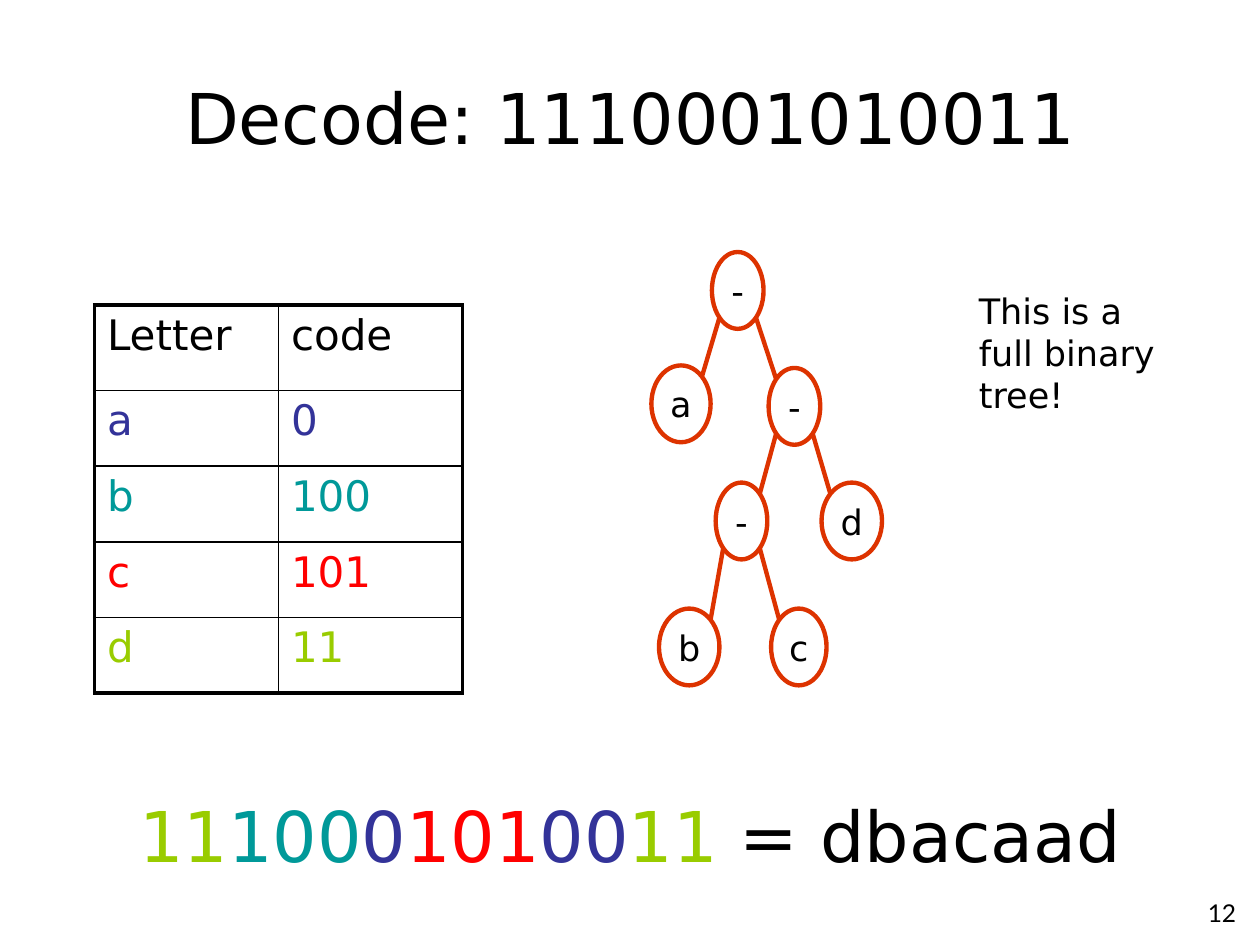
import itertools
import math

import pptx
import pptx.dml.color
import pptx.enum.shapes
import pptx.enum.text
import pptx.oxml
import pptx.oxml.ns
import pptx.util
from pptx.util import Inches, Pt

RGBColor = pptx.dml.color.RGBColor
PP_ALIGN = pptx.enum.text.PP_ALIGN
ANCHOR = pptx.enum.text.MSO_ANCHOR

BLACK = RGBColor(0x00, 0x00, 0x00)
BLUE = RGBColor(0x33, 0x33, 0x99)
TEAL = RGBColor(0x00, 0x99, 0x99)
RED = RGBColor(0xFF, 0x00, 0x00)
GREEN = RGBColor(0x99, 0xCC, 0x00)
ORANGE = RGBColor(0xDD, 0x33, 0x00)

BODY_FONT = "DejaVu Sans"
NUMBER_FONT = "Lato"

CODES = {"a": ("0", BLUE), "b": ("100", TEAL), "c": ("101", RED), "d": ("11", GREEN)}
MESSAGE = "dbacaad"
ENCODED = "".join(CODES[letter][0] for letter in MESSAGE)

# Tree nodes: label, left, top and width within the tree's box
NODE_HEIGHT = 0.61
NODES = {
    "root": ("-", 0.48, 0, 0.41),
    "a": ("a", 0, 0.9, 0.47),
    "right": ("-", 0.93, 0.92, 0.41),
    "middle": ("-", 0.51, 1.83, 0.41),
    "d": ("d", 1.35, 1.83, 0.48),
    "b": ("b", 0.06, 2.83, 0.48),
    "c": ("c", 0.95, 2.83, 0.44),
}
CHILDREN = {"root": ("a", "right"), "right": ("middle", "d"), "middle": ("b", "c")}


def format_run(run, size, color=BLACK, font=BODY_FONT):
    run.font.size = Pt(size)
    run.font.name = font
    run.font.color.rgb = color


def add_text(slide, box, pieces, size, align=PP_ALIGN.LEFT, anchor=ANCHOR.TOP, font=BODY_FONT):
    """Add a text box of one paragraph; pieces are (text, color) pairs."""
    frame = slide.shapes.add_textbox(*map(Inches, box)).text_frame
    frame.word_wrap = True
    frame.vertical_anchor = anchor
    paragraph = frame.paragraphs[0]
    paragraph.alignment = align
    for text, color in pieces:
        run = paragraph.add_run()
        run.text = text
        format_run(run, size, color, font)


def set_border(cell, side, width):
    """Draw one border of a cell; side is L, R, T or B."""
    border = pptx.oxml.parse_xml(
        f'<a:ln{side} {pptx.oxml.ns.nsdecls("a")} w="{Pt(width)}">'
        f'<a:solidFill><a:srgbClr val="{BLACK}"/></a:solidFill></a:ln{side}>'
    )
    cell_properties = cell._tc.get_or_add_tcPr()
    cell_properties.append(border)


def add_code_table(slide, box):
    rows = [("Letter", "code", BLACK)]
    rows += [(letter, code, color) for letter, (code, color) in CODES.items()]
    table = slide.shapes.add_table(len(rows), 2, *map(Inches, box)).table
    table.first_row = table.horz_banding = False
    for row_index, (*texts, color) in enumerate(rows):
        table.rows[row_index].height = Inches(0.6 if row_index else 0.68)
        for column_index, text in enumerate(texts):
            cell = table.cell(row_index, column_index)
            cell.text_frame.text = text
            format_run(cell.text_frame.paragraphs[0].runs[0], 24, color)
            outer_sides = {
                "L": column_index == 0,
                "R": column_index == 1,
                "T": row_index == 0,
                "B": row_index == len(rows) - 1,
            }
            for side, is_outer in outer_sides.items():
                set_border(cell, side, 2.25 if is_outer else 1)
            cell.fill.background()


def add_node(slide, left, top, label, width):
    node = slide.shapes.add_shape(
        pptx.enum.shapes.MSO_SHAPE.OVAL,
        Inches(left), Inches(top), Inches(width), Inches(NODE_HEIGHT),
    )
    node.shadow.inherit = False
    node.fill.background()
    node.line.color.rgb = ORANGE
    node.line.width = Pt(2.5)
    frame = node.text_frame
    frame.word_wrap = False
    frame.vertical_anchor = ANCHOR.MIDDLE
    frame.text = label
    frame.paragraphs[0].alignment = PP_ALIGN.CENTER
    format_run(frame.paragraphs[0].runs[0], 20)


def rim_point(name, across, down):
    """Return the diagonal point on a node's rim; across and down are -1 or 1."""
    _, left, top, width = NODES[name]
    diagonal = math.sqrt(0.5)
    return (
        left + width / 2 * (1 + across * diagonal),
        top + NODE_HEIGHT / 2 * (1 + down * diagonal),
    )


def add_tree(slide, left, top):
    for label, node_left, node_top, width in NODES.values():
        add_node(slide, left + node_left, top + node_top, label, width)
    for parent, children in CHILDREN.items():
        for across, child in zip((-1, 1), children):
            start_x, start_y = rim_point(parent, across, 1)
            end_x, end_y = rim_point(child, -across, -1)
            edge = slide.shapes.add_connector(
                pptx.enum.shapes.MSO_CONNECTOR.STRAIGHT,
                Inches(left + start_x), Inches(top + start_y),
                Inches(left + end_x), Inches(top + end_y),
            )
            edge.line.color.rgb = ORANGE
            edge.line.width = Pt(2.5)
            edge._element.spPr.append(pptx.oxml.parse_xml(
                f'<a:effectLst {pptx.oxml.ns.nsdecls("a")}/>'
            ))


def add_decoded_message(slide, box):
    pieces = []
    for letter, repeats in itertools.groupby(MESSAGE):
        code, color = CODES[letter]
        pieces.append((code * len(list(repeats)), color))
    pieces.append((f" = {MESSAGE}", BLACK))
    add_text(slide, box, pieces, 40, PP_ALIGN.CENTER, ANCHOR.MIDDLE)


def main():
    presentation = pptx.Presentation()
    presentation.slide_width = Inches(10)
    presentation.slide_height = Inches(7.5)
    slide = presentation.slides.add_slide(presentation.slide_layouts[6])

    add_text(slide, (7.83, 7.08, 2.08, 0.37), [("12", BLACK)], 14,
             PP_ALIGN.RIGHT, font=NUMBER_FONT)
    add_text(slide, (0.5, 0.3, 9, 1.25), [(f"Decode: {ENCODED}", BLACK)], 40,
             PP_ALIGN.CENTER, ANCHOR.MIDDLE)
    add_code_table(slide, (0.75, 2.42, 2.92, 3.08))
    add_tree(slide, 5.17, 2)
    add_decoded_message(slide, (0.5, 6, 9, 1.25))
    add_text(slide, (7.67, 2.25, 1.75, 1.11), [("This is a full binary tree!", BLACK)], 20)

    presentation.save("out.pptx")


if __name__ == "__main__":
    main()
